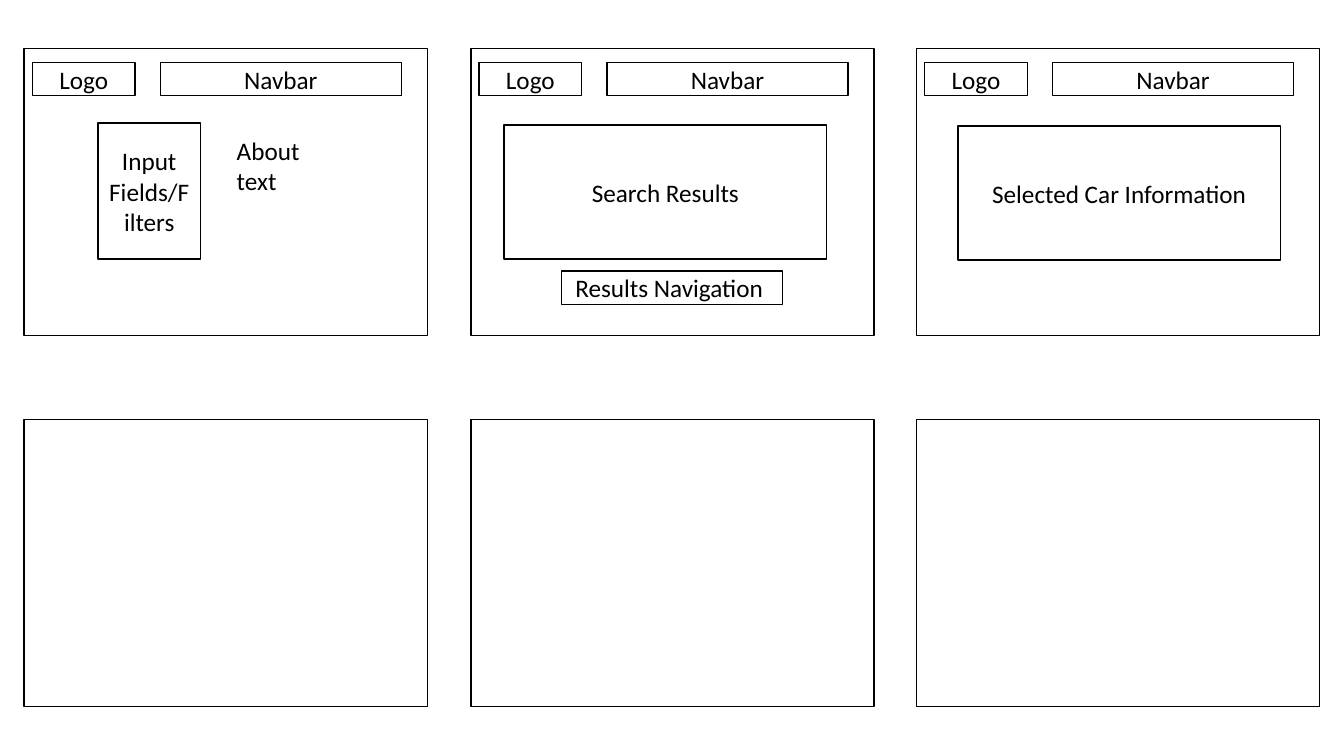
"""Build a slide of six page wireframes on a three by two grid."""
from pptx import Presentation
from pptx import util as u
from pptx.dml.color import RGBColor
from pptx.enum import shapes, text

COLORS = {"ink": "000000", "paper": "FFFFFF"}
FRAME_LEFTS = (0.24, 4.67, 9.09)
FRAME_TOPS = (0.48, 4.16)
FRAME_SIZE = (4, 2.85)


def write_text(frame, content, *, font="Calibri", size=18, color="ink",
               align=text.PP_ALIGN.CENTER, anchor=text.MSO_ANCHOR.MIDDLE):
    """Put one formatted paragraph into a text frame."""
    frame.word_wrap = True
    frame.vertical_anchor = anchor
    paragraph = frame.paragraphs[0]
    paragraph.alignment = align
    run = paragraph.add_run()
    run.text = content
    run.font.name = font
    run.font.size = u.Pt(size)
    run.font.color.rgb = RGBColor.from_string(COLORS[color])


class Wireframe:
    """Hold the line style and the slide that elements are drawn on."""

    def __init__(self, slide, line_width=1):
        self.slide = slide
        self.line_width = u.Pt(line_width)
        fill = slide.background.fill
        fill.solid()
        fill.fore_color.rgb = RGBColor.from_string(COLORS["paper"])

    def box(self, left, top, width, height, label=None):
        """Draw an outlined rectangle with an optional centred label."""
        shape = self.slide.shapes.add_shape(
            shapes.MSO_SHAPE.RECTANGLE,
            *map(u.Inches, (left, top, width, height)))
        shape.shadow.inherit = False
        shape.fill.background()
        shape.line.color.rgb = RGBColor.from_string(COLORS["ink"])
        shape.line.width = self.line_width
        if label:
            write_text(shape.text_frame, label)

    def note(self, left, top, width, height, content):
        """Place plain left-aligned text."""
        shape = self.slide.shapes.add_textbox(
            *map(u.Inches, (left, top, width, height)))
        write_text(shape.text_frame, content, align=text.PP_ALIGN.LEFT,
                   anchor=text.MSO_ANCHOR.TOP)
        shape.text_frame.auto_size = text.MSO_AUTO_SIZE.SHAPE_TO_FIT_TEXT

    def header(self, frame_left):
        """Draw the logo and navbar boxes of one page."""
        self.box(frame_left + 0.08, 0.62, 1.02, 0.33, "Logo")
        self.box(frame_left + 1.35, 0.62, 2.39, 0.33, "Navbar")


def main():
    """Compose the slide and save it."""
    presentation = Presentation()
    presentation.slide_width = u.Inches(13.33)
    presentation.slide_height = u.Inches(7.5)
    slide = presentation.slides.add_slide(presentation.slide_layouts[6])
    wireframe = Wireframe(slide)

    for top in FRAME_TOPS:
        for left in FRAME_LEFTS:
            wireframe.box(left, top, *FRAME_SIZE)
    for left in FRAME_LEFTS:
        wireframe.header(left)

    wireframe.box(0.97, 1.22, 1.02, 1.35, "Input Fields/Filters")
    wireframe.note(2.25, 1.29, 0.94, 0.71, "About text")
    wireframe.box(5, 1.24, 3.2, 1.33, "Search Results")
    wireframe.box(5.57, 2.69, 2.19, 0.33, "Results Navigation ")
    wireframe.box(9.5, 1.25, 3.2, 1.33, "Selected Car Information")
    presentation.save("out.pptx")


if __name__ == "__main__":
    main()
